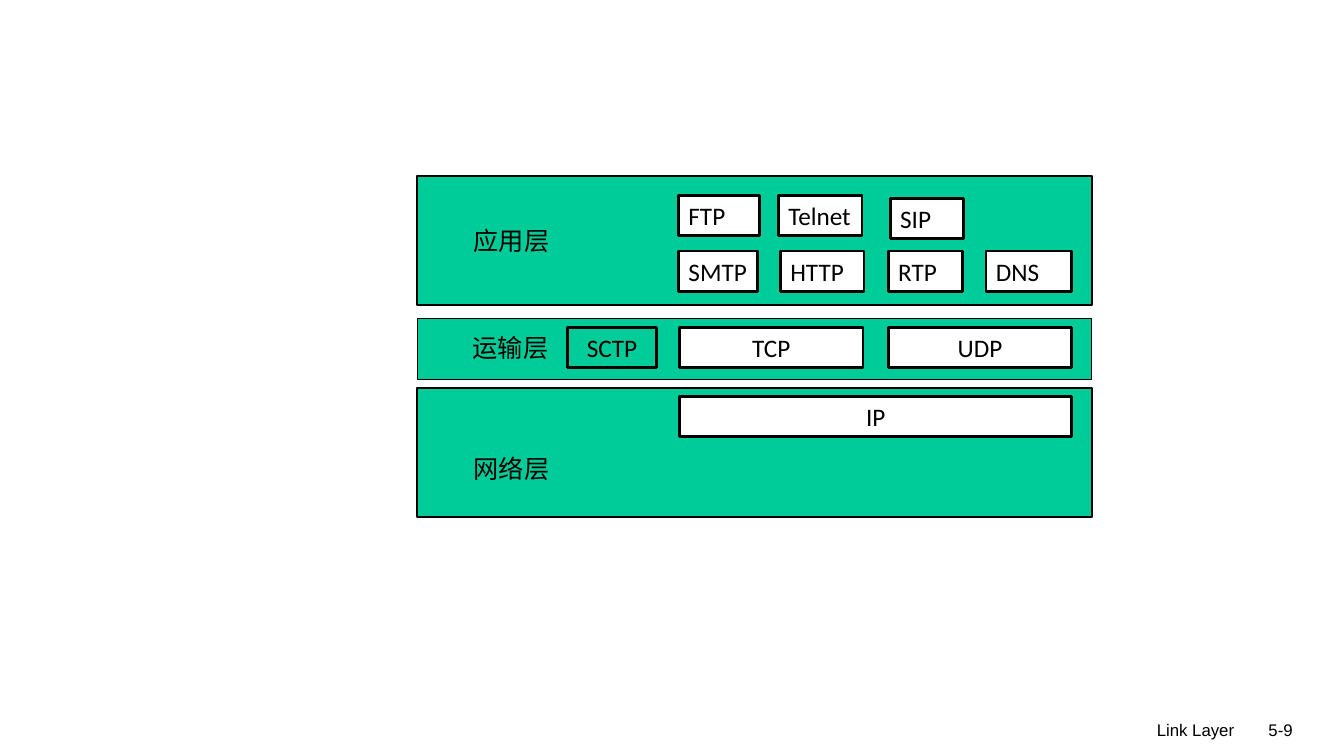
from pptx import Presentation
from pptx.dml.color import RGBColor
from pptx.enum.shapes import MSO_SHAPE as Shape
from pptx.enum.text import MSO_ANCHOR as Anchor, MSO_AUTO_SIZE as AutoSize, PP_ALIGN as Align
from pptx.util import Inches, Pt

COLORS = {"layer": "00CC99", "box": "FFFFFF", "ink": "000000"}
CELL = 0.1
BOX_ROWS = 4
LAYER_COL, LAYER_COLS = 41.4, 66.9


class Diagram:
    body = {"name": "Calibri", "size": Pt(18)}
    footer = {"name": "Arial", "size": Pt(12)}

    def __init__(self, prs):
        self.s = prs.slides.add_slide(prs.slide_layouts[6])

    def area(self, *cells):
        return [Inches(c * CELL) for c in cells]

    def color(self, key):
        return RGBColor.from_string(COLORS[key])

    def set_text(self, sp, text, align, font, grow=True):
        tf = sp.text_frame
        frame = {"word_wrap": True, "vertical_anchor": Anchor.TOP,
                 "auto_size": AutoSize.SHAPE_TO_FIT_TEXT if grow else AutoSize.NONE}
        if align == Align.LEFT:
            frame["margin_right"] = Inches(0.05)
        for key, value in frame.items():
            setattr(tf, key, value)
        p = tf.paragraphs[0]
        p.alignment = align
        r = p.add_run()
        r.text = text
        for key, value in font.items():
            setattr(r.font, key, value)
        r.font.color.rgb = self.color("ink")

    def rect(self, col, row, cols, rows, fill, weight):
        sp = self.s.shapes.add_shape(Shape.RECTANGLE, *self.area(col, row, cols, rows))
        sp.shadow.inherit = False
        if fill:
            sp.fill.solid()
            sp.fill.fore_color.rgb = self.color(fill)
        else:
            sp.fill.background()
        sp.line.color.rgb = self.color("ink")
        sp.line.width = Pt(weight)
        return sp

    def layer(self, row, rows, weight):
        self.rect(LAYER_COL, row, LAYER_COLS, rows, "layer", weight)

    def protocol(self, text, col, row, cols, align=Align.LEFT, fill="box", weight=2):
        sp = self.rect(col, row, cols, BOX_ROWS, fill, weight)
        self.set_text(sp, text, align, self.body)

    def label(self, text, col, row, cols):
        sp = self.s.shapes.add_textbox(*self.area(col, row, cols, BOX_ROWS))
        self.set_text(sp, text, Align.LEFT, self.body)

    def foot(self, text, col, cols):
        sp = self.s.shapes.add_textbox(*self.area(col, 70.9, cols, 5))
        self.set_text(sp, text, Align.RIGHT, self.footer, grow=False)


def main():
    prs = Presentation()
    prs.slide_width, prs.slide_height = Inches(13.33), Inches(7.5)
    d = Diagram(prs)

    d.foot("Link Layer", 81.2, 42.2)
    d.foot("5-9", 119.3, 9.9)

    d.layer(17.5, 12.8, 1.5)
    d.label("应用层", 46, 21.9, 12.8)
    for text, col, row, cols in [
        ("FTP", 67.3, 19.4, 8), ("Telnet", 77.2, 19.4, 8.3), ("SIP", 88.3, 19.7, 7.3),
        ("SMTP", 67.3, 24.9, 7.8), ("HTTP", 77.4, 24.9, 8.3),
        ("RTP", 88.1, 24.9, 7.4), ("DNS", 97.8, 24.9, 8.5),
    ]:
        d.protocol(text, col, row, cols)

    d.layer(31.6, 6.1, 0.75)
    d.label("运输层", 45.9, 32.5, 10.4)
    d.protocol("SCTP", 56.3, 32.5, 8.8, Align.CENTER, None, 2.25)
    for text, col in [("TCP", 67.4), ("UDP", 88.1)]:
        d.protocol(text, col, 32.5, 18.2, Align.CENTER)

    d.layer(38.5, 12.8, 1.5)
    d.label("网络层", 46, 44.5, 10.4)
    d.protocol("IP", 67.4, 39.3, 38.9, Align.CENTER)

    prs.save("out.pptx")


if __name__ == "__main__":
    main()
